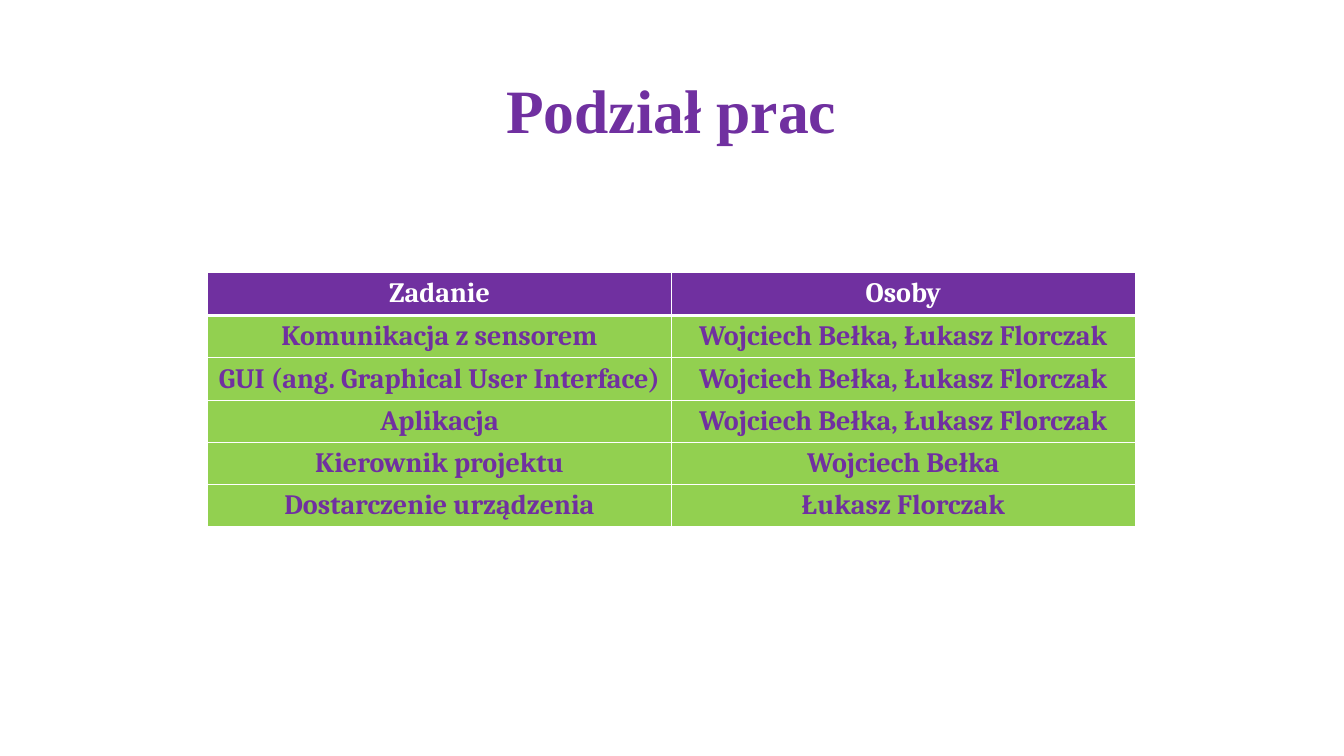
from lxml.etree import SubElement
from pptx import Presentation
from pptx.dml.color import RGBColor
from pptx.enum.text import MSO_ANCHOR, PP_ALIGN
from pptx.oxml.ns import qn
from pptx.util import Inches, Pt

TITLE = "Podział prac"
HEADER = ("Zadanie", "Osoby")
TASKS = [
    ("Komunikacja z sensorem", "Wojciech Bełka, Łukasz Florczak"),
    ("GUI (ang. Graphical User Interface)", "Wojciech Bełka, Łukasz Florczak"),
    ("Aplikacja", "Wojciech Bełka, Łukasz Florczak"),
    ("Kierownik projektu", "Wojciech Bełka"),
    ("Dostarczenie urządzenia", "Łukasz Florczak"),
]
COLORS = {"purple": "7030A0", "green": "92D050", "white": "FFFFFF"}
COLUMN_WIDTH, HEADER_HEIGHT, TASK_HEIGHT = 4.6, 0.43, 0.42


def style_text(frame, font_name, size, color):
    paragraph = frame.paragraphs[0]
    paragraph.alignment = PP_ALIGN.CENTER
    font = paragraph.runs[0].font
    font.name, font.size, font.bold = font_name, Pt(size), True
    font.color.rgb = RGBColor.from_string(COLORS[color])


def add_borders(cell, bottom=1, top=1):
    properties = cell._tc.get_or_add_tcPr()
    sides = {"a:lnL": 1, "a:lnR": 1, "a:lnT": top, "a:lnB": bottom}
    for index, (side, width) in enumerate(sides.items()):
        line = SubElement(properties, qn(side), w=str(Pt(width)))
        fill = SubElement(line, qn("a:solidFill"))
        SubElement(fill, qn("a:srgbClr"), val=COLORS["white"])
        properties.insert(index, line)  # borders precede the cell fill


presentation = Presentation()
presentation.slide_width, presentation.slide_height = Inches(13.33), Inches(7.5)
slide = presentation.slides.add_slide(presentation.slide_layouts[6])

# Title
title = slide.shapes.add_textbox(Inches(0.91), Inches(0.4), Inches(11.5), Inches(1.45)).text_frame
title.word_wrap = True
title.vertical_anchor = MSO_ANCHOR.MIDDLE
title.text = TITLE
title.paragraphs[0].line_spacing = 0.9
style_text(title, "Times New Roman", 44, "purple")

# Table of tasks and people
rows = [HEADER] + TASKS
division = slide.shapes.add_table(
    len(rows), len(HEADER), Inches(2.06), Inches(2.7),
    Inches(COLUMN_WIDTH * len(HEADER)), Inches(HEADER_HEIGHT + TASK_HEIGHT * len(TASKS)),
).table
for column in division.columns:
    column.width = Inches(COLUMN_WIDTH)
for row_index, row in enumerate(rows):
    is_header = row_index == 0
    division.rows[row_index].height = Inches(HEADER_HEIGHT if is_header else TASK_HEIGHT)
    for column_index, entry in enumerate(row):
        cell = division.cell(row_index, column_index)
        cell.text = entry
        cell.margin_left = cell.margin_right = Inches(0.07)
        cell.margin_top, cell.margin_bottom = Inches(0.05), Inches(0.03)
        cell.fill.solid()
        cell.fill.fore_color.rgb = RGBColor.from_string(COLORS["purple" if is_header else "green"])
        style_text(cell.text_frame, "Cambria", 20, "white" if is_header else "purple")
        add_borders(cell, bottom=3 if is_header else 1, top=3 if row_index == 1 else 1)

presentation.save("out.pptx")
